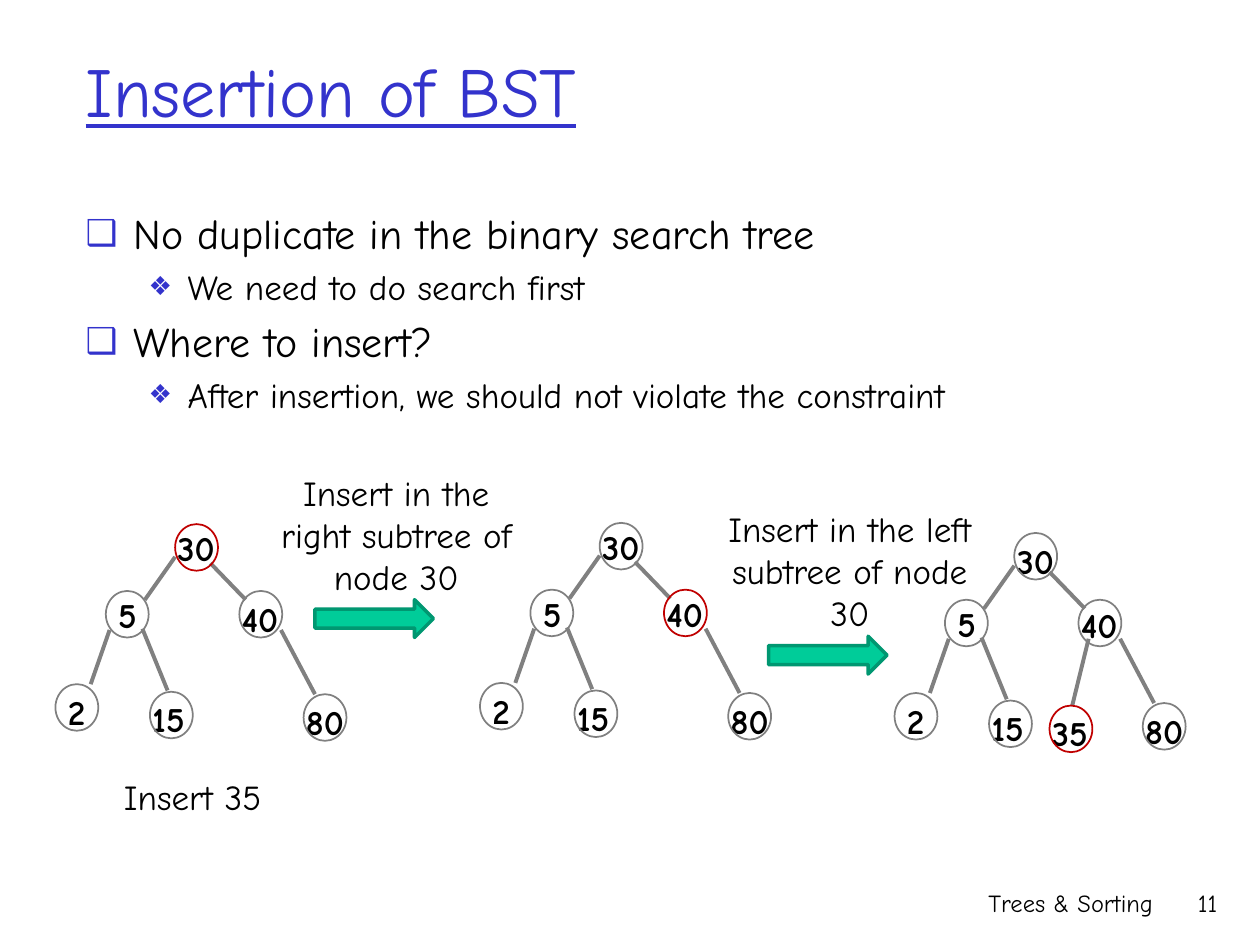
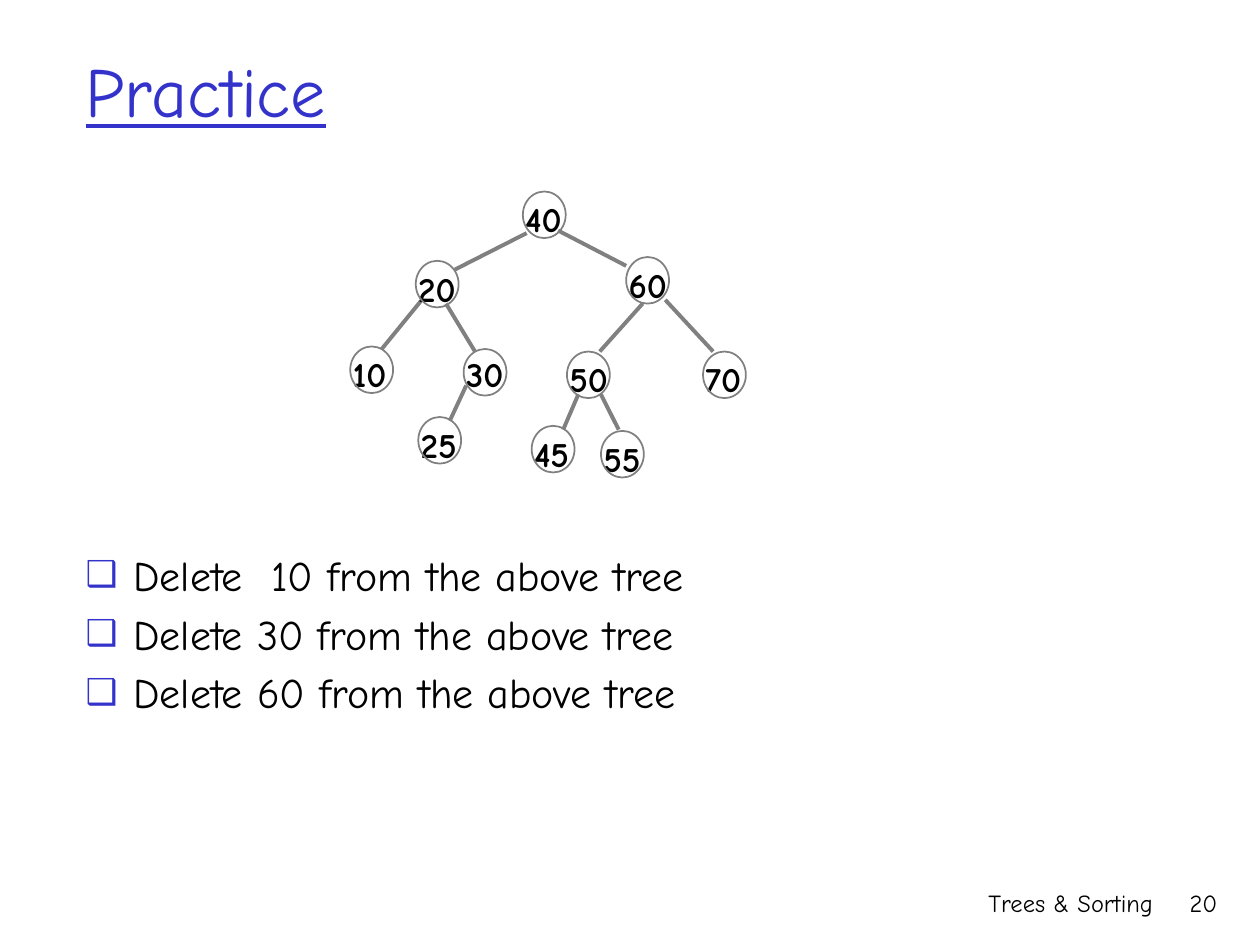
from typing import NamedTuple

from lxml.etree import SubElement
from pptx import Presentation
from pptx.dml.color import RGBColor
from pptx.enum.shapes import MSO_CONNECTOR, MSO_SHAPE
from pptx.enum.text import MSO_ANCHOR, MSO_AUTO_SIZE, PP_ALIGN
from pptx.oxml.ns import qn
from pptx.util import Pt

EMU_PER_PX = 9144
FONT = "Comic Neue"
BLACK, BLUE, GRAY, RED = "000000", "3333CC", "808080", "C00000"
GREEN, DARK_GREEN = "00CC99", "009771"
NODE_SIZE = (34, 37)

TITLE_FONT = {"name": FONT, "size": Pt(40), "underline": True}
TEXT_FONT = {"name": FONT, "size": Pt(20)}
NODE_FONT = {"name": FONT, "size": Pt(20), "bold": True}
FOOTER_FONT = {"name": FONT, "size": Pt(14)}
LEVELS = [
    {"size": 24, "margin": 38, "hanging": 38, "bullet": "❑", "percent": 85},
    {"size": 20, "margin": 81, "hanging": 31, "bullet": "❖", "percent": 75},
]
CENTERED = {"word_wrap": True, "vertical_anchor": MSO_ANCHOR.MIDDLE}
NODE_LABEL = {"word_wrap": False, "auto_size": MSO_AUTO_SIZE.SHAPE_TO_FIT_TEXT}


class Node(NamedTuple):
    """A tree node: circle corner, and the edge that leads to it."""
    label: str
    left: int
    top: int
    edge: tuple = ()


INSERTION_TREE = [
    Node("30", 139, 416),
    Node("5", 84, 469, (139, 442, 115, 476)),
    Node("2", 44, 543, (87, 500, 72, 543)),
    Node("15", 119, 549, (113, 499, 133, 548)),
    Node("40", 190, 469, (167, 447, 195, 476)),
    Node("80", 241, 551, (223, 500, 250, 551)),
]
INSERTED_NODE = Node("35", 167, 553, (198, 500, 185, 553))
PRACTICE_TREE = [
    Node("40", 415, 152),
    Node("20", 330, 207, (418, 185, 361, 214)),
    Node("10", 278, 275, (334, 239, 303, 277)),
    Node("30", 368, 277, (354, 241, 377, 279)),
    Node("25", 332, 331, (370, 306, 357, 334)),
    Node("60", 497, 204, (443, 183, 497, 211)),
    Node("50", 450, 279, (510, 241, 476, 279)),
    Node("70", 558, 279, (528, 238, 566, 279)),
    Node("45", 422, 338, (459, 313, 447, 341)),
    Node("55", 477, 342, (477, 313, 491, 341)),
]


def px(*lengths):
    """Turn px lengths into EMU."""
    return [length * EMU_PER_PX for length in lengths]


def color(hex_value):
    """Return the colour of a hex string."""
    return RGBColor.from_string(hex_value)


def apply_format(target, values):
    """Set every attribute named in a dict of format values."""
    for name, value in values.items():
        setattr(target, name, value)


def place(shape, left, top, width, height):
    """Move and size a shape."""
    names = ("left", "top", "width", "height")
    apply_format(shape, dict(zip(names, px(left, top, width, height))))


def write(paragraph, text, font, hex_value=BLACK):
    """Add a formatted run to a paragraph."""
    run = paragraph.add_run()
    run.text = text
    apply_format(run.font, font)
    run.font.color.rgb = color(hex_value)


def add_text(shapes, text, box, font, frame_format, alignment=PP_ALIGN.LEFT):
    """Add a text box with one paragraph."""
    frame = shapes.add_textbox(*px(*box)).text_frame
    apply_format(frame, frame_format)
    paragraph = frame.paragraphs[0]
    paragraph.alignment = alignment
    write(paragraph, text, font)


def add_caption(slide, text, box):
    """Add a centred caption."""
    add_text(slide.shapes, text, box, TEXT_FONT, CENTERED, PP_ALIGN.CENTER)


def set_bullet(paragraph, style):
    """Give a paragraph its hanging bullet."""
    properties = paragraph._p.get_or_add_pPr()
    margin, hanging = px(style["margin"], style["hanging"])
    properties.set("marL", str(margin))
    properties.set("indent", str(-hanging))
    bullet_color = SubElement(properties, qn("a:buClr"))
    SubElement(bullet_color, qn("a:srgbClr"), val=BLUE)
    SubElement(properties, qn("a:buSzPct"), val=str(style["percent"] * 1000))
    SubElement(properties, qn("a:buChar"), char=style["bullet"])


def fill_body(body, items, top):
    """Write a bulleted list of (level, text) items in the body placeholder."""
    place(body, 58, top, 850, 668 - top)
    frame = body.text_frame
    frame.auto_size = MSO_AUTO_SIZE.NONE
    for index, (level, text) in enumerate(items):
        paragraph = frame.add_paragraph() if index else frame.paragraphs[0]
        paragraph.level = level
        style = LEVELS[level]
        set_bullet(paragraph, style)
        write(paragraph, text, {"name": FONT, "size": Pt(style["size"])})


def add_content_slide(presentation, title, number, items, body_top):
    """Add a slide with title, list and footer."""
    slide = presentation.slides.add_slide(presentation.slide_layouts[1])
    fill_body(slide.placeholders[1], items, body_top)
    heading = slide.shapes.title
    place(heading, 58, 25, 850, 92)
    apply_format(heading.text_frame, {**CENTERED, "auto_size": MSO_AUTO_SIZE.NONE})
    paragraph = heading.text_frame.paragraphs[0]
    paragraph.alignment = PP_ALIGN.LEFT
    write(paragraph, title, TITLE_FONT, BLUE)
    footers = [("Trees & Sorting", (608, 700, 317, 50)), (number, (908, 700, 68, 50))]
    for text, box in footers:
        add_text(slide.shapes, text, box, FOOTER_FONT, {"word_wrap": True}, PP_ALIGN.RIGHT)
    return slide


def set_line(shape, hex_value, width):
    """Set the colour and width of a line."""
    shape.line.color.rgb = color(hex_value)
    shape.line.width = Pt(width)


def add_edge(shapes, ends):
    """Add a line between two tree nodes."""
    edge = shapes.add_connector(MSO_CONNECTOR.STRAIGHT, *px(*ends))
    set_line(edge, GRAY, 2.25)
    SubElement(edge._element.spPr, qn("a:effectLst"))


def add_node(shapes, label, left, top, label_shift, line_color):
    """Add a circle and its label."""
    single = len(label) == 1
    label_box = (left if single else left - 8, top + label_shift, 37 if single else 55, 44)
    add_text(shapes, label, label_box, NODE_FONT, NODE_LABEL)
    circle = shapes.add_shape(MSO_SHAPE.OVAL, *px(left, top, *NODE_SIZE))
    circle.shadow.inherit = False
    circle.fill.background()
    set_line(circle, line_color, 1)


def add_tree(slide, nodes, offset=(0, 0), marked="", label_shifts=None):
    """Add a grouped tree, with the marked node in red."""
    shapes = slide.shapes.add_group_shape().shapes
    label_shifts = label_shifts or {}
    across, down = offset
    for node in nodes:
        if node.edge:
            x1, y1, x2, y2 = node.edge
            add_edge(shapes, (x1 + across, y1 + down, x2 + across, y2 + down))
    for node in nodes:
        line_color = RED if node.label == marked else GRAY
        add_node(shapes, node.label, node.left + across, node.top + down,
                 label_shifts.get(node.label, 0), line_color)


def add_step(slide, text, left, top):
    """Add a caption above a right arrow."""
    arrow = slide.shapes.add_shape(MSO_SHAPE.RIGHT_ARROW, *px(left, top, 94, 30))
    arrow.shadow.inherit = False
    arrow.fill.solid()
    arrow.fill.fore_color.rgb = color(GREEN)
    set_line(arrow, DARK_GREEN, 2)
    add_caption(slide, text, (left - 48, top - 103, 225, 102))


def add_insertion_slide(presentation):
    """Build the slide on inserting into a search tree."""
    items = [
        (0, "No duplicate in the binary search tree"),
        (1, "We need to do search first"),
        (0, "Where to insert?"),
        (1, "After insertion, we should not violate the constraint"),
    ]
    slide = add_content_slide(presentation, "Insertion of BST", "11", items, 160)
    add_tree(slide, INSERTION_TREE, (0, 0), "30", {"30": -3, "5": -3})
    add_caption(slide, "Insert 35", (75, 615, 156, 35))
    add_step(slide, "Insert in the right subtree of node 30", 250, 476)
    add_tree(slide, INSERTION_TREE, (337, -1), "40", {"30": -3, "5": -3, "40": -3})
    add_step(slide, "Insert in the left subtree of node 30", 610, 505)
    add_tree(slide, INSERTION_TREE + [INSERTED_NODE], (666, 7), "35", {"5": -3, "40": -2})


def add_practice_slide(presentation):
    """Build the slide with the deletion exercises."""
    items = [
        (0, "Delete  10 from the above tree"),
        (0, "Delete 30 from the above tree"),
        (0, "Delete 60 from the above tree"),
    ]
    slide = add_content_slide(presentation, "Practice", "20", items, 431)
    add_tree(slide, PRACTICE_TREE, label_shifts={"30": -2})


def main():
    """Build and save the presentation."""
    presentation = Presentation()
    presentation.slide_width, presentation.slide_height = px(1000, 750)
    add_insertion_slide(presentation)
    add_practice_slide(presentation)
    presentation.save("out.pptx")


if __name__ == "__main__":
    main()
